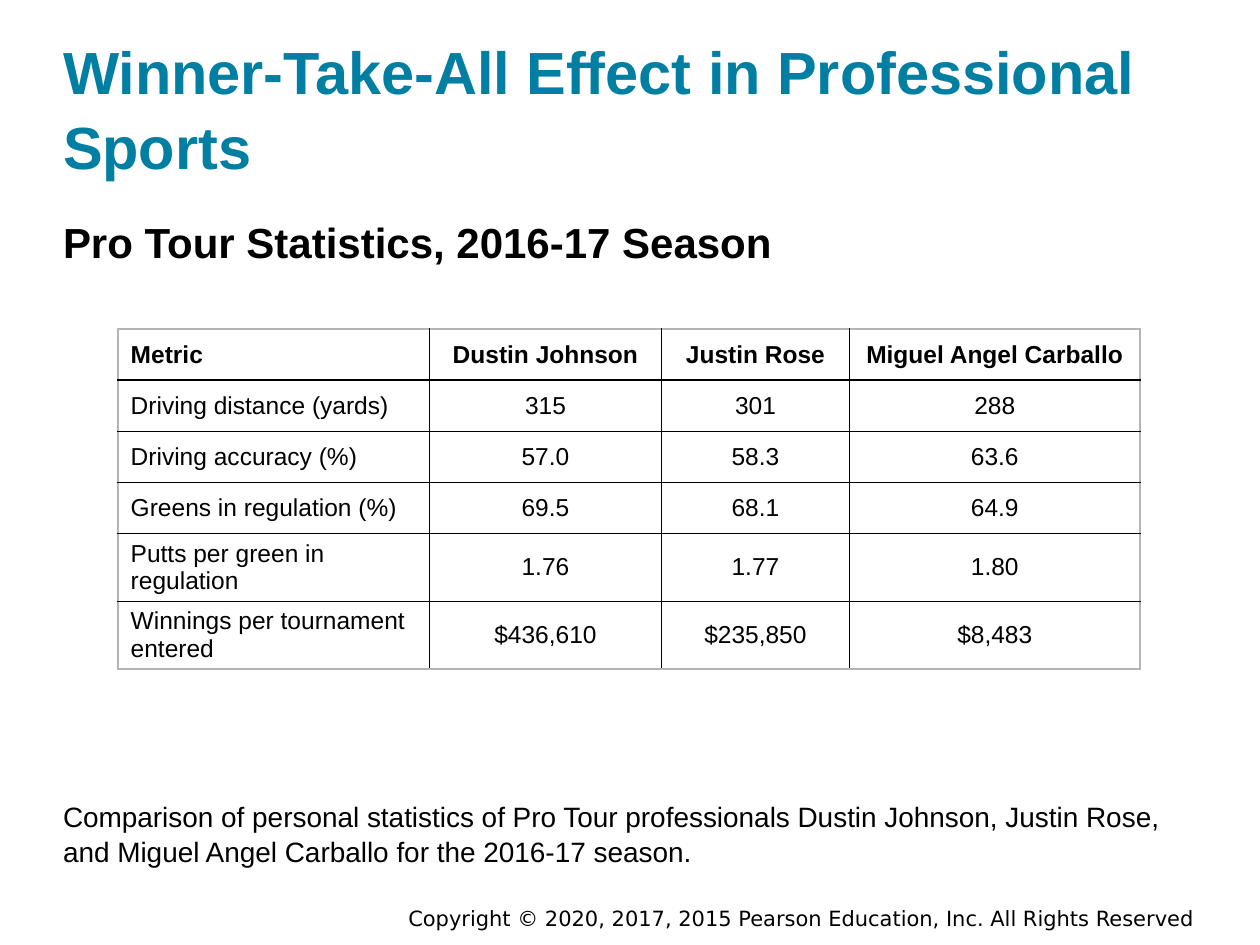
from lxml import etree
from pptx import Presentation
from pptx import util as u
from pptx.dml.color import RGBColor
from pptx.enum import text
from pptx.oxml import ns

BLACK = RGBColor(0x00, 0x00, 0x00)
TEAL = RGBColor(0x00, 0x7F, 0xA3)
GRAY = RGBColor(0xB4, 0xB4, 0xB4)
COLUMN_WIDTHS = (178, 132.5, 107.5, 166)
ROW_HEIGHT = 29.25
STATISTICS = (
    ("Metric", "Dustin Johnson", "Justin Rose", "Miguel Angel Carballo"),
    ("Driving distance (yards)", "315", "301", "288"),
    ("Driving accuracy (%)", "57.0", "58.3", "63.6"),
    ("Greens in regulation (%)", "69.5", "68.1", "64.9"),
    ("Putts per green in regulation", "1.76", "1.77", "1.80"),
    ("Winnings per tournament entered", "$436,610", "$235,850", "$8,483"),
)


def write(tf, content, size, color=BLACK, bold=False, font="Arial",
          align=text.PP_ALIGN.LEFT, spacing=1.0):
    """Put one formatted paragraph into a text frame."""
    p = tf.paragraphs[0]
    p.alignment, p.line_spacing, p.space_before = align, spacing, u.Pt(0)
    r = p.add_run()
    r.text = content
    r.font.name, r.font.size, r.font.bold = font, u.Pt(size), bold
    r.font.color.rgb = color
    return p


def fill_placeholder(sp, box, content, anchor=text.MSO_ANCHOR.TOP, **fmt):
    """Move a placeholder, clear its insets and bullet, and write its text."""
    sp.left, sp.top, sp.width, sp.height = map(u.Pt, box)
    tf = sp.text_frame
    tf.margin_left = tf.margin_top = tf.margin_right = tf.margin_bottom = 0
    tf.word_wrap, tf.auto_size = True, text.MSO_AUTO_SIZE.NONE
    tf.vertical_anchor = anchor
    pPr = tf.paragraphs[0]._p.get_or_add_pPr()
    pPr.set("marL", "0")
    pPr.set("indent", "0")
    etree.SubElement(pPr, ns.qn("a:buNone"))
    write(tf, content, spacing=1.05, **fmt)


def set_borders(cell, outer_sides):
    """Draw gray lines on the outer sides of a cell and black ones inside."""
    tcPr = cell._tc.get_or_add_tcPr()
    for i, side in enumerate(("lnL", "lnR", "lnT", "lnB")):
        ln = etree.Element(ns.qn(f"a:{side}"), w=str(u.Pt(1)))
        fill = etree.SubElement(ln, ns.qn("a:solidFill"))
        color = GRAY if side in outer_sides else BLACK
        etree.SubElement(fill, ns.qn("a:srgbClr"), val=str(color))
        tcPr.insert(i, ln)


def add_statistics(slide):
    """Add the table of player statistics."""
    n_rows, n_cols = len(STATISTICS), len(COLUMN_WIDTHS)
    table = slide.shapes.add_table(
        n_rows, n_cols, u.Pt(67.5), u.Pt(188), u.Pt(sum(COLUMN_WIDTHS)),
        u.Pt(ROW_HEIGHT * n_rows)).table
    table.first_row = table.horz_banding = False
    for column, width in zip(table.columns, COLUMN_WIDTHS):
        column.width = u.Pt(width)
    for i, values in enumerate(STATISTICS):
        table.rows[i].height = u.Pt(ROW_HEIGHT)
        for j, value in enumerate(values):
            cell = table.cell(i, j)
            cell.fill.background()
            cell.vertical_anchor = text.MSO_ANCHOR.MIDDLE
            write(cell.text_frame, value, 14, bold=i == 0,
                  align=text.PP_ALIGN.CENTER if j else text.PP_ALIGN.LEFT)
            edges = {"lnL": j == 0, "lnR": j == n_cols - 1,
                     "lnT": i == 0, "lnB": i == n_rows - 1}
            set_borders(cell, [side for side, outer in edges.items() if outer])


def add_copyright(slide):
    """Add the copyright line at the foot of the slide."""
    sp = slide.shapes.add_textbox(u.Pt(216), u.Pt(510.5), u.Pt(473.75), u.Pt(28.8))
    tf = sp.text_frame
    tf.word_wrap, tf.vertical_anchor = True, text.MSO_ANCHOR.MIDDLE
    write(tf, "Copyright © 2020, 2017, 2015 Pearson Education, Inc. All Rights Reserved",
          12, font="DejaVu Sans", align=text.PP_ALIGN.RIGHT)


def main():
    """Build the slide and save it."""
    prs = Presentation()
    prs.slide_width, prs.slide_height = u.Pt(720), u.Pt(540)
    slide = prs.slides.add_slide(prs.slide_layouts[3])
    title, heading, caption = slide.placeholders
    fill_placeholder(title, (36, 17.25, 648, 86.5),
                     "Winner-Take-All Effect in Professional Sports",
                     anchor=text.MSO_ANCHOR.BOTTOM, size=34, color=TEAL, bold=True)
    fill_placeholder(heading, (36, 122.5, 648, 32.5),
                     "Pro Tour Statistics, 2016-17 Season", size=24, bold=True)
    add_statistics(slide)
    fill_placeholder(caption, (36, 456, 648, 41),
                     "Comparison of personal statistics of Pro Tour professionals "
                     "Dustin Johnson, Justin Rose, and Miguel Angel Carballo "
                     "for the 2016-17 season.", size=16)
    add_copyright(slide)
    prs.save("out.pptx")


if __name__ == "__main__":
    main()
